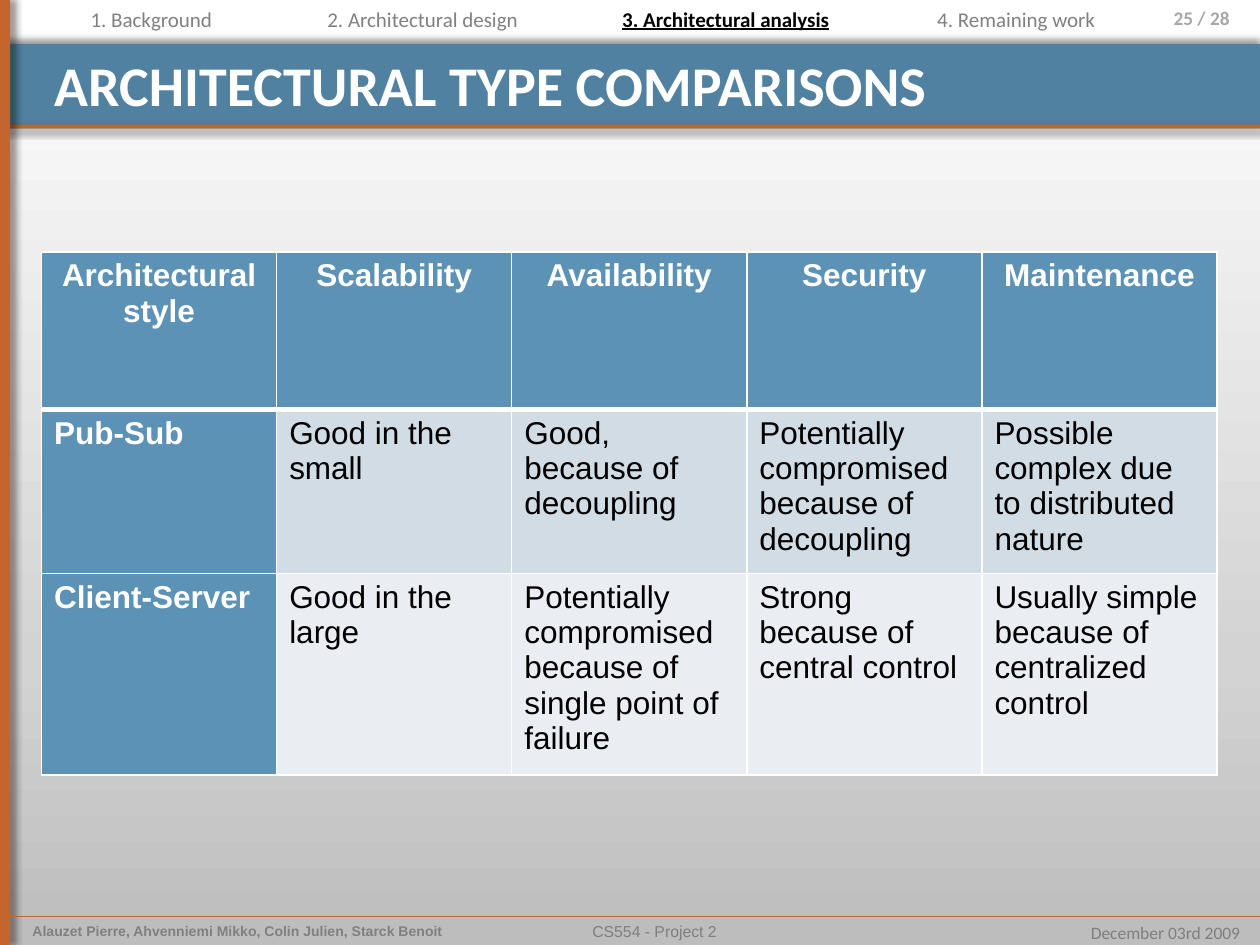
import collections

import lxml.etree
import pptx
import pptx.dml.color
import pptx.enum.shapes
import pptx.enum.text
import pptx.oxml.ns
import pptx.util

COLORS = {
    "banner": "5181A0", "accent": "C4652D", "header": "5C92B5",
    "band_dark": "D2DCE5", "band_light": "EAEEF3", "white": "FFFFFF",
    "black": "000000", "tab": "808080", "footer": "7F7F7F", "page": "A6A6A6",
}
BACKGROUND_STOPS = [(0, "BDBDBD"), (30, "D3D3D3"), (100, "FFFFFF")]
COLUMNS, ROWS = 100, 75
CELL = pptx.util.Inches(0.1)
ALIGN = pptx.enum.text.PP_ALIGN
Box = collections.namedtuple("Box", "left top width height")

TABS = [
    ("1. Background", 6.2, 11.8),
    ("2. Architectural design", 25, 17.4),
    ("3. Architectural analysis", 48.4, 18.7),
    ("4. Remaining work", 73.4, 14.7),
]
CURRENT_TAB = 2
COMPARISON = [
    ["Architectural style", "Scalability", "Availability", "Security", "Maintenance"],
    ["Pub-Sub", "Good in the small", "Good, because of decoupling",
     "Potentially compromised because of decoupling",
     "Possible complex due to distributed nature"],
    ["Client-Server", "Good in the large",
     "Potentially compromised because of single point of failure",
     "Strong because of central control",
     "Usually simple because of centralized control"],
]


def grid(*cells):
    """Turn grid cells into slide lengths."""
    return [round(cell * CELL) for cell in cells]


def rgb(name):
    """Return the named colour."""
    return pptx.dml.color.RGBColor.from_string(COLORS[name])


def add_xml(parent, tag, **attributes):
    """Append a DrawingML element and return it."""
    values = {key: str(value) for key, value in attributes.items()}
    return lxml.etree.SubElement(parent, pptx.oxml.ns.qn(tag), values)


def add_shadow(effects, direction):
    """Add a soft black shadow to an effect list."""
    shadow = add_xml(effects, "a:outerShdw", blurRad=pptx.util.Pt(4),
                     dist=pptx.util.Pt(3), dir=direction * 60000,
                     algn="ctr", rotWithShape=0)
    black = add_xml(shadow, "a:srgbClr", val=COLORS["black"])
    add_xml(black, "a:alpha", val=40000)


def style(paragraph, size, color, font="Calibri", bold=False, align=ALIGN.LEFT):
    """Format a paragraph and its runs."""
    paragraph.alignment = align
    for run in paragraph.runs:
        run.font.name = font
        run.font.size = pptx.util.Pt(size)
        run.font.bold = bold
        run.font.color.rgb = rgb(color)


def add_label(slide, box, text, size, color, wrap=True, **look):
    """Add a one-line text box."""
    frame = slide.shapes.add_textbox(*grid(*box)).text_frame
    frame.word_wrap = wrap
    frame.text = text
    style(frame.paragraphs[0], size, color, **look)
    return frame


def add_band(slide, box, color, direction):
    """Add a plain shadowed rectangle."""
    band = slide.shapes.add_shape(pptx.enum.shapes.MSO_SHAPE.RECTANGLE, *grid(*box))
    band.fill.solid()
    band.fill.fore_color.rgb = rgb(color)
    band.line.fill.background()
    band.shadow.inherit = False
    effects = band.element.spPr.find(pptx.oxml.ns.qn("a:effectLst"))
    add_shadow(effects, direction)


def paint_background(slide):
    """Fill the slide with a gradient rising from grey to white."""
    fill = slide.background.fill
    fill.gradient()
    fill.gradient_angle = 90
    stops = next(slide.element.iter(pptx.oxml.ns.qn("a:gsLst")))
    for stop in list(stops):
        stops.remove(stop)
    for position, color in BACKGROUND_STOPS:
        stop = add_xml(stops, "a:gs", pos=position * 1000)
        add_xml(stop, "a:srgbClr", val=color)


def add_frame(slide, box):
    """Add the title banner, its underline and the side bar."""
    add_band(slide, Box(box.left, box.top + 3.5, box.width, 6.7), "banner", 270)
    add_band(slide, Box(box.left, box.top + 9.9, box.width, 0.3), "accent", 45)
    add_band(slide, Box(box.left, box.top, 0.8, box.height), "accent", 0)


def add_title(slide, box, text):
    """Move, fill and format the title placeholder."""
    title = slide.shapes.title
    title.left, title.top, title.width, title.height = grid(*box)
    frame = title.text_frame
    frame.vertical_anchor = pptx.enum.text.MSO_ANCHOR.TOP
    frame.auto_size = pptx.enum.text.MSO_AUTO_SIZE.NONE
    frame.text = text
    style(frame.paragraphs[0], 32, "white", bold=True)


def add_navigation(slide, box):
    """Add the section tabs and the page number."""
    for index, (text, offset, width) in enumerate(TABS):
        current = index == CURRENT_TAB
        tab = add_label(slide, Box(box.left + offset, box.top, width, 3), text, 12,
                        "black" if current else "tab", wrap=False, bold=current)
        tab.paragraphs[0].runs[0].font.underline = current
    page = add_label(slide, Box(box.left + box.width - 11.7, box.top, 11.7, box.height),
                     "25 / 28", 11, "page", bold=True, align=ALIGN.RIGHT)
    page.margin_right = grid(2.4)[0]


def add_footer(slide, box):
    """Add the footer rule, authors, course and date."""
    right = box.left + box.width
    rule = slide.shapes.add_connector(
        pptx.enum.shapes.MSO_CONNECTOR.STRAIGHT,
        *grid(box.left, box.top, right, box.top))
    rule.line.color.rgb = rgb("accent")
    rule.line.width = pptx.util.Pt(0.25)
    add_shadow(add_xml(rule.element.spPr, "a:effectLst"), 45)
    add_label(slide, Box(box.left + 0.8, box.top, 36.7, box.height),
              "Alauzet Pierre, Ahvenniemi Mikko, Colin Julien, Starck Benoit",
              8, "tab", font="Arial", bold=True)
    add_label(slide, Box(box.left + 20.3, box.top, 61.7, box.height),
              "CS554 - Project 2", 9, "footer", font="Arial", align=ALIGN.CENTER)
    add_label(slide, Box(right - 14.7, box.top, 14.1, 2.7), "December 03rd 2009",
              10, "footer", wrap=False, align=ALIGN.RIGHT)


def add_borders(cell, bottom):
    """Draw white borders round a table cell."""
    properties = cell._tc.get_or_add_tcPr()
    widths = {"a:lnL": 1, "a:lnR": 1, "a:lnT": 1, "a:lnB": bottom}
    for index, (tag, width) in enumerate(widths.items()):
        border = add_xml(properties, tag, w=pptx.util.Pt(width))
        add_xml(add_xml(border, "a:solidFill"), "a:srgbClr", val=COLORS["white"])
        properties.remove(border)
        properties.insert(index, border)


def add_comparison(slide, box):
    """Add the table of architectural styles."""
    table = slide.shapes.add_table(len(COMPARISON), len(COMPARISON[0]), *grid(*box)).table
    table.horz_banding = False
    bands = ["header", "band_dark", "band_light"]
    for row, texts in enumerate(COMPARISON):
        for column, text in enumerate(texts):
            heading = row == 0 or column == 0
            cell = table.cell(row, column)
            cell.text = text
            cell.fill.solid()
            cell.fill.fore_color.rgb = rgb("header" if heading else bands[row])
            style(cell.text_frame.paragraphs[0], 18, "white" if heading else "black",
                  font="Arial", bold=heading,
                  align=ALIGN.CENTER if row == 0 else ALIGN.LEFT)
            add_borders(cell, 3 if row == 0 else 1)


def main():
    """Build and save the slide."""
    deck = pptx.Presentation()
    deck.slide_width, deck.slide_height = grid(COLUMNS, ROWS)
    slide = deck.slides.add_slide(deck.slide_layouts[5])
    paint_background(slide)
    add_frame(slide, Box(0, 0, COLUMNS, ROWS))
    add_footer(slide, Box(0.8, 72.7, COLUMNS - 0.8, 2.3))
    add_title(slide, Box(3.3, 3.5, 92.8, 5.8), "ARCHITECTURAL TYPE COMPARISONS")
    add_navigation(slide, Box(0, 0, COLUMNS, 3.9))
    add_comparison(slide, Box(3.3, 20, 93.3, 37.5))
    title = slide.shapes.title.element
    slide.shapes.element.remove(title)
    slide.shapes.element.insert(5, title)
    deck.save("out.pptx")


if __name__ == "__main__":
    main()
